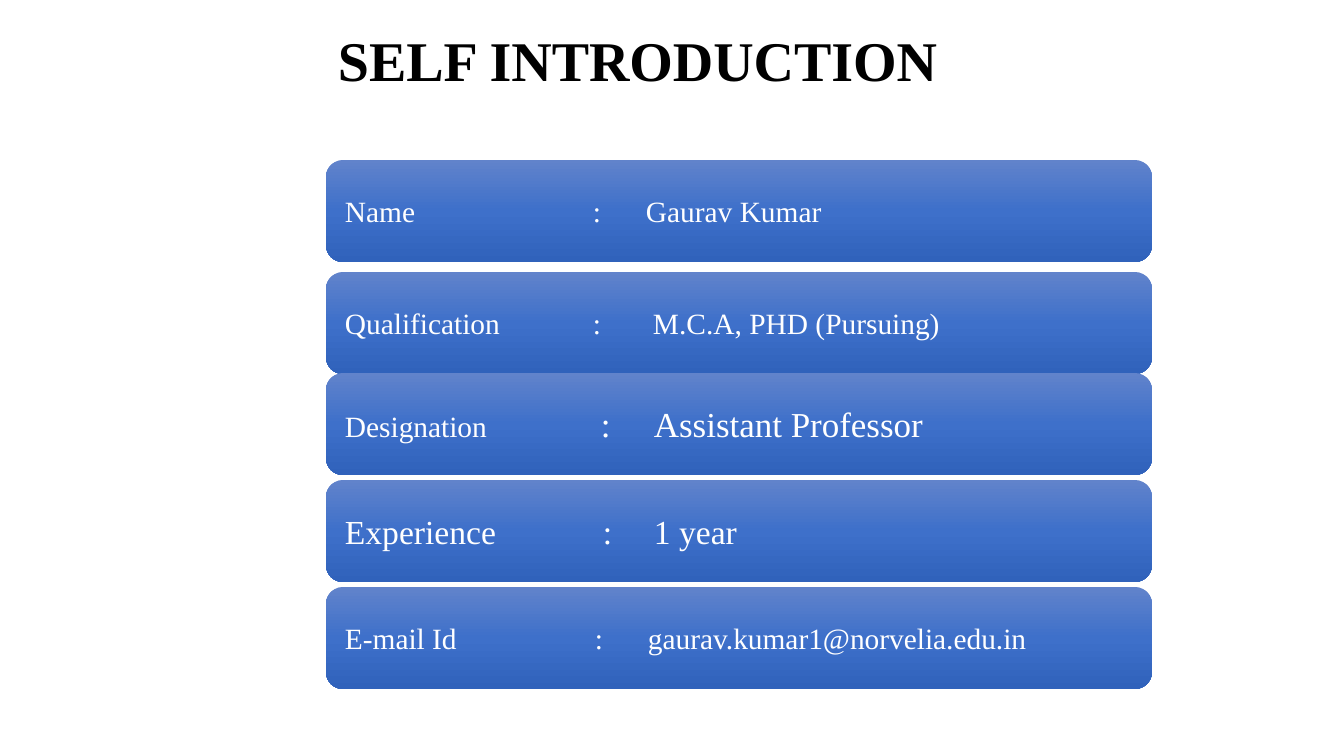
from copy import deepcopy

from lxml import etree
from pptx import Presentation
from pptx import util as u
from pptx.dml.color import RGBColor
from pptx.enum import shapes, text
from pptx.oxml import ns

FONT = "Times New Roman"
COLORS = {"title": "000000", "label": "FFFFFF",
          "top": "6183CB", "middle": "3E70CA", "bottom": "3062BB"}


def px(value):
    return u.Emu(round(value * 914400 / 100.8))


def add_span(para, words, size, color, bold=False):
    span = para.add_run()
    span.text = words
    span.font.name = FONT
    span.font.size = u.Pt(size)
    span.font.bold = bold
    span.font.color.rgb = RGBColor.from_string(COLORS[color])


deck = Presentation()
deck.slide_width, deck.slide_height = px(1344), px(756)
page = deck.slides.add_slide(deck.slide_layouts[6])

# Title
title = page.shapes.add_textbox(px(328), px(0), px(849), px(126))
title.text_frame.word_wrap = True
title.text_frame.vertical_anchor = text.MSO_ANCHOR.MIDDLE
title_para = title.text_frame.paragraphs[0]
title_para.line_spacing = 0.9
add_span(title_para, "SELF INTRODUCTION", 40, "title", bold=True)

# Bars: top, label, label size, value, value size, tab stops of colon and value
bars = [
    (160, "Name", 21, "Gaurav Kumar", 21, (248, 301)),
    (272, "Qualification", 21, "M.C.A, PHD (Pursuing)", 21, (248, 308)),
    (373, "Designation", 21, "Assistant Professor", 25, (256, 309)),
    (480, "Experience", 24, "1 year", 24, (258, 309)),
    (587, "E-mail Id", 21, "gaurav.kumar1@norvelia.edu.in", 21, (250, 303)),
]
for top, label, label_size, value, value_size, stops in bars:
    bar = page.shapes.add_shape(shapes.MSO_SHAPE.ROUNDED_RECTANGLE,
                                px(326), px(top), px(826), px(102))
    bar.shadow.inherit = False
    bar.line.fill.background()

    # Three-stop vertical gradient
    bar.fill.gradient()
    bar.fill.gradient_angle = 270
    stop_list = bar._element.spPr.find(".//" + ns.qn("a:gsLst"))
    stop_list.insert(1, deepcopy(stop_list[0]))
    for stop, name, position in zip(bar.fill.gradient_stops,
                                    ("top", "middle", "bottom"), (0, 0.5, 1)):
        stop.color.rgb = RGBColor.from_string(COLORS[name])
        stop.position = position

    # Label, colon and value on tab stops
    frame = bar.text_frame
    frame.word_wrap = True
    frame.vertical_anchor = text.MSO_ANCHOR.MIDDLE
    frame.margin_left = frame.margin_right = px(14)
    frame.margin_top = frame.margin_bottom = px(9)
    para = frame.paragraphs[0]
    para.alignment = text.PP_ALIGN.LEFT
    tabs = etree.SubElement(para._p.get_or_add_pPr(), ns.qn("a:tabLst"))
    for place in stops:
        etree.SubElement(tabs, ns.qn("a:tab"), pos=str(px(place)), algn="l")
    add_span(para, label, label_size, "label")
    add_span(para, f"\t:\t{value}", value_size, "label")

deck.save("out.pptx")
